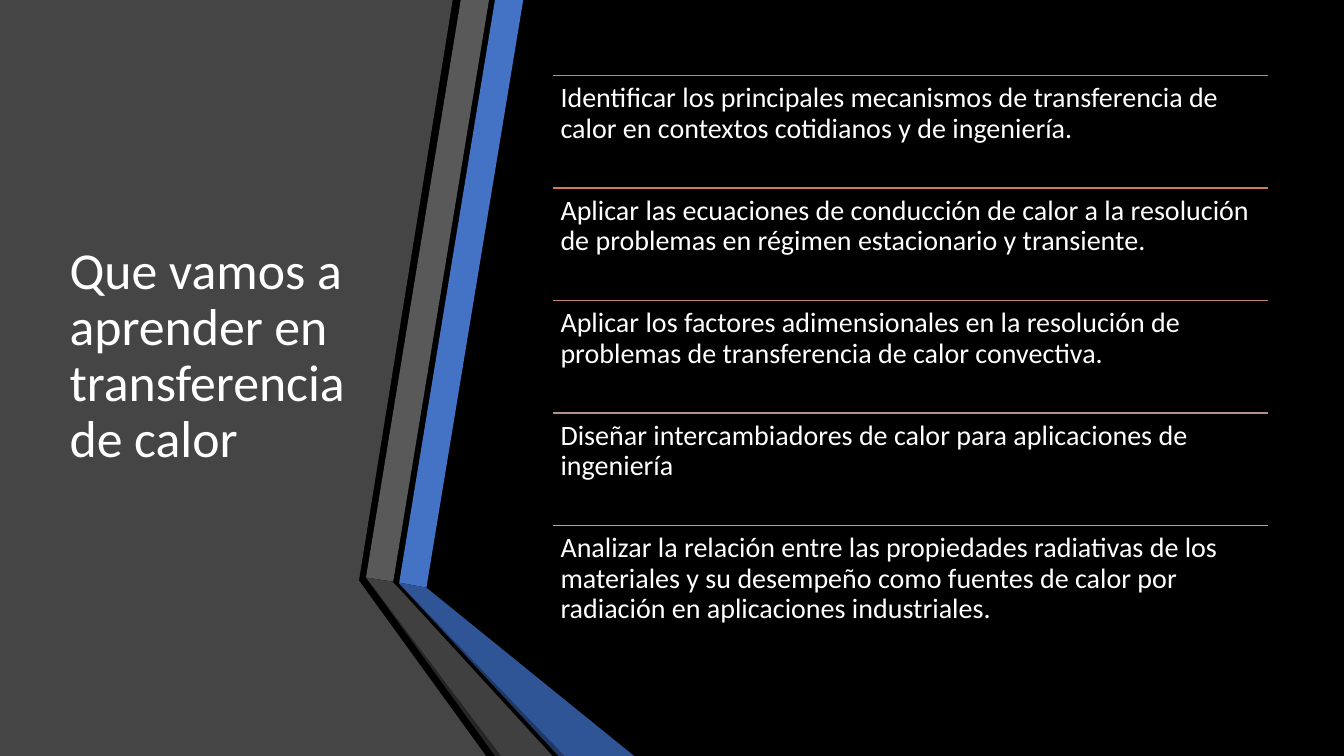
from lxml import etree
from pptx import Presentation
from pptx.dml.color import RGBColor
from pptx.enum.shapes import MSO_CONNECTOR
from pptx.enum.text import MSO_ANCHOR, MSO_AUTO_SIZE, PP_ALIGN
from pptx.oxml.ns import qn
from pptx.util import Inches, Pt

LINE = MSO_CONNECTOR.STRAIGHT
TOP, MIDDLE = MSO_ANCHOR.TOP, MSO_ANCHOR.MIDDLE
LEFT = PP_ALIGN.LEFT
FIXED = MSO_AUTO_SIZE.NONE

WIDE, HIGH = 13.33, 7.5
PANEL = [(0, 0), (4.49, 0), (3.56, 5.76), (4.82, HIGH), (0, HIGH)]
BANDS = [
    ("4472C4", [(3.96, 5.78), (4.23, 5.83), (5.19, 0), (4.91, 0)]),
    ("595959", [(4.85, 0), (4.57, 0), (3.63, 5.73), (3.9, 5.77)]),
    ("262626", [(3.63, 5.73), (4.91, HIGH), (4.97, HIGH)]),
    ("203864", [(3.96, 5.79), (5.54, HIGH), (5.6, HIGH)]),
    ("2F5597", [(3.96, 5.78), (3.96, 5.79), (5.6, HIGH), (6.29, HIGH), (4.23, 5.83)]),
    ("404040", [(5.48, HIGH), (3.95, 5.83), (3.89, 5.77), (3.63, 5.73), (4.97, HIGH)]),
]
GOALS = [
    ("ED7D31", "Identificar los principales mecanismos de transferencia de calor en contextos cotidianos y de ingeniería."),
    ("D87A51", "Aplicar las ecuaciones de conducción de calor a la resolución de problemas en régimen estacionario y transiente."),
    ("C48170", "Aplicar los factores adimensionales en la resolución de problemas de transferencia de calor convectiva."),
    ("B4908B", "Diseñar intercambiadores de calor para aplicaciones de ingeniería"),
    ("A5A5A5", "Analizar la relación entre las propiedades radiativas de los materiales y su desempeño como fuentes de calor por radiación en aplicaciones industriales."),
]


def paint(target, color):
    target.solid()
    target.fore_color.rgb = RGBColor.from_string(color)


def write(shape, text, size, anchor=TOP, pad=None):
    frame = shape.text_frame
    frame.text = text
    frame.word_wrap = True
    frame.auto_size = FIXED
    frame.vertical_anchor = anchor
    if pad is not None:
        frame.margin_left = frame.margin_right = Inches(pad)
        frame.margin_top = frame.margin_bottom = Inches(pad)
    para = frame.paragraphs[0]
    para.alignment = LEFT
    para.line_spacing = 0.9
    para.font.size = Pt(size)
    para.font.name = "Calibri"
    paint(para.font.fill, "FFFFFF")


def draw(shapes, color, points, left, top):
    spots = [(Inches(left + x), Inches(top + y)) for x, y in points]
    pen = shapes.build_freeform(*spots[0])
    pen.add_line_segments(spots[1:], close=True)
    shape = pen.convert_to_shape()
    shape.shadow.inherit = False
    paint(shape.fill, color)
    shape.line.fill.background()


def add_rule(shapes, color, left, top, width):
    rule = shapes.add_connector(
        LINE, Inches(left), Inches(top), Inches(left + width), Inches(top))
    paint(rule.line.fill, color)
    rule.line.width = Pt(1)
    etree.SubElement(rule._element.spPr, qn("a:effectLst"))


def add_side(slide, left, top):
    draw(slide.shapes, "454545", PANEL, left, top)
    group = slide.shapes.add_group_shape()
    for color, points in BANDS:
        draw(group.shapes, color, points, left, top)


def add_title(slide, text, left, top, width, height):
    title = slide.shapes.title
    title.left, title.top = Inches(left), Inches(top)
    title.width, title.height = Inches(width), Inches(height)
    write(title, text, 37, anchor=MIDDLE)
    slide.shapes._spTree.append(title._element)


def add_goals(slide, goals, left, top, width, height):
    shapes = slide.shapes.add_group_shape().shapes
    step = height / len(goals)
    for index, (color, text) in enumerate(goals):
        y = top + index * step
        add_rule(shapes, color, left, y, width)
        box = shapes.add_textbox(
            Inches(left), Inches(y), Inches(width), Inches(step))
        write(box, text, 20, pad=0.08)


def main():
    deck = Presentation()
    deck.slide_width, deck.slide_height = Inches(WIDE), Inches(HIGH)
    slide = deck.slides.add_slide(deck.slide_layouts[5])
    paint(slide.background.fill, "000000")
    add_side(slide, 0, 0)
    add_title(slide, "Que vamos a aprender en transferencia de calor",
              0.59, 0.75, 3.04, 5.58)
    add_goals(slide, GOALS, 5.48, 0.75, 7.1, 5.58)
    deck.save("out.pptx")


if __name__ == "__main__":
    main()
